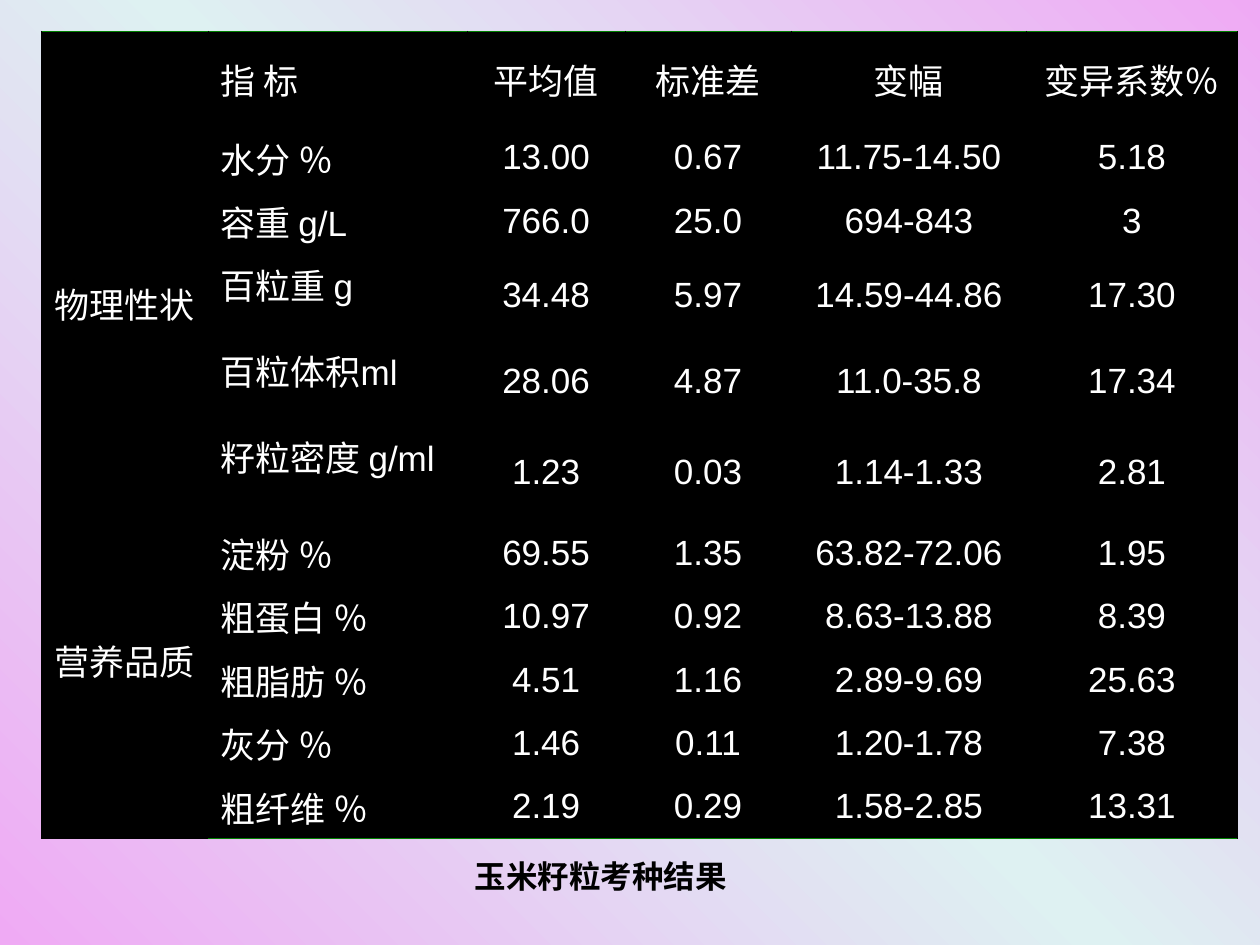
from copy import deepcopy
from dataclasses import dataclass

from pptx import Presentation
from pptx.dml.color import RGBColor
from pptx.enum.text import MSO_ANCHOR, MSO_AUTO_SIZE, PP_ALIGN
from pptx.oxml import parse_xml
from pptx.oxml.ns import nsdecls, qn
from pptx.util import Inches, Pt


@dataclass(frozen=True)
class Theme:
    pink: str = "EFAAF4"
    mint: str = "DEF1F2"
    black: str = "000000"
    white: str = "FFFFFF"
    rule_green: str = "008000"
    table_size: int = 20
    caption_size: int = 18
    label_font: str = "Times New Roman"
    value_font: str = "Arial"


@dataclass(frozen=True)
class Trait:
    name: str
    unit: str
    values: tuple[str, str, str, str]


@dataclass(frozen=True)
class TraitGroup:
    name: str
    traits: tuple[Trait, ...]


THEME = Theme()
HEADERS = ("指 标", "平均值", "标准差", "变幅", "变异系数％")
GROUPS = (
    TraitGroup("物理性状", (
        Trait("水分 ％", "", ("13.00", "0.67", "11.75-14.50", "5.18")),
        Trait("容重 ", "g/L", ("766.0", "25.0", "694-843", "3")),
        Trait("百粒重 ", "g", ("34.48", "5.97", "14.59-44.86", "17.30")),
        Trait("百粒体积", "ml", ("28.06", "4.87", "11.0-35.8", "17.34")),
        Trait("籽粒密度 ", "g/ml", ("1.23", "0.03", "1.14-1.33", "2.81")),
    )),
    TraitGroup("营养品质", (
        Trait("淀粉 ％", "", ("69.55", "1.35", "63.82-72.06", "1.95")),
        Trait("粗蛋白 ％", "", ("10.97", "0.92", "8.63-13.88", "8.39")),
        Trait("粗脂肪 ％", "", ("4.51", "1.16", "2.89-9.69", "25.63")),
        Trait("灰分 ％", "", ("1.46", "0.11", "1.20-1.78", "7.38")),
        Trait("粗纤维 ％", "", ("2.19", "0.29", "1.58-2.85", "13.31")),
    )),
)
COLUMN_WIDTHS = (1.32, 2.06, 1.25, 1.32, 1.87, 1.67)
ROW_HEIGHTS = (0.75, 0.5, 0.5, 0.68, 0.68, 0.77, 0.49, 0.49, 0.5, 0.5, 0.5)


def paint_background(page) -> None:
    fill = page.background.fill
    fill.gradient()
    fill.gradient_angle = 45
    stop_list = next(page.element.iter(qn("a:gsLst")))
    stop_list.append(deepcopy(stop_list[0]))
    colors = (THEME.pink, THEME.mint, THEME.pink)
    for stop, position, color in zip(fill.gradient_stops, (0, 0.5, 1), colors):
        stop.position = position
        stop.color.rgb = RGBColor.from_string(color)


def style_cell(cell, is_first_row: bool, is_last_row: bool) -> None:
    """Fill the cell black, with green rules on the table's top and bottom edges."""
    hairline, edge = (THEME.black, 0.34), (THEME.rule_green, 0.96)
    borders = {
        "lnL": hairline,
        "lnR": hairline,
        "lnT": edge if is_first_row else hairline,
        "lnB": edge if is_last_row else hairline,
    }
    properties = cell._tc.get_or_add_tcPr()
    for tag, (color, width) in borders.items():
        properties.append(parse_xml(
            f'<a:{tag} {nsdecls("a")} w="{Pt(width)}"><a:solidFill>'
            f'<a:srgbClr val="{color}"/></a:solidFill></a:{tag}>'
        ))
    cell.fill.solid()
    cell.fill.fore_color.rgb = RGBColor.from_string(THEME.black)


def write_cell(cell, text: str, font: str, centered: bool = False,
               anchor: MSO_ANCHOR = MSO_ANCHOR.MIDDLE, unit: str = "") -> None:
    cell.vertical_anchor = anchor
    para = cell.text_frame.paragraphs[0]
    para.alignment = PP_ALIGN.CENTER if centered else PP_ALIGN.LEFT
    for part, name in ((text, font), (unit, THEME.value_font)):
        if part:
            span = para.add_run()
            span.text = part
            span.font.name = name
            span.font.size = Pt(THEME.table_size)
            span.font.color.rgb = RGBColor.from_string(THEME.white)


def add_trait_table(page) -> None:
    row_count, column_count = len(ROW_HEIGHTS), len(COLUMN_WIDTHS)
    table = page.shapes.add_table(
        row_count, column_count, Inches(0.33), Inches(0.25),
        Inches(sum(COLUMN_WIDTHS)), Inches(sum(ROW_HEIGHTS)),
    ).table
    table.first_row = table.horz_banding = False
    for column, width in zip(table.columns, COLUMN_WIDTHS):
        column.width = Inches(width)
    for index, (row, height) in enumerate(zip(table.rows, ROW_HEIGHTS)):
        row.height = Inches(height)
        for cell in row.cells:
            style_cell(cell, index == 0, index == row_count - 1)

    for column, header in enumerate(HEADERS, start=1):
        write_cell(table.cell(0, column), header, THEME.label_font, centered=column > 1)
    row = 1
    for group in GROUPS:
        group_cell = table.cell(row, 0)
        group_cell.merge(table.cell(row + len(group.traits) - 1, 0))
        write_cell(group_cell, group.name, THEME.value_font)
        group_cell.margin_bottom = Inches(0.37)
        for trait in group.traits:
            write_cell(table.cell(row, 1), trait.name, THEME.label_font,
                       anchor=MSO_ANCHOR.TOP, unit=trait.unit)
            for column, value in enumerate(trait.values, start=2):
                write_cell(table.cell(row, column), value, THEME.value_font, centered=True)
            row += 1


def add_caption(page, text: str) -> None:
    box = page.shapes.add_textbox(Inches(3.67), Inches(6.75), Inches(2.2), Inches(0.4))
    box.text_frame.word_wrap = False
    box.text_frame.auto_size = MSO_AUTO_SIZE.SHAPE_TO_FIT_TEXT
    para = box.text_frame.paragraphs[0]
    para.text = text
    para.font.name = THEME.value_font
    para.font.size = Pt(THEME.caption_size)
    para.font.bold = True
    para.font.color.rgb = RGBColor.from_string(THEME.black)


def main() -> None:
    deck = Presentation()
    deck.slide_width, deck.slide_height = Inches(10), Inches(7.5)
    page = deck.slides.add_slide(deck.slide_layouts[6])
    paint_background(page)
    add_trait_table(page)
    add_caption(page, "玉米籽粒考种结果")
    deck.save("out.pptx")


if __name__ == "__main__":
    main()
